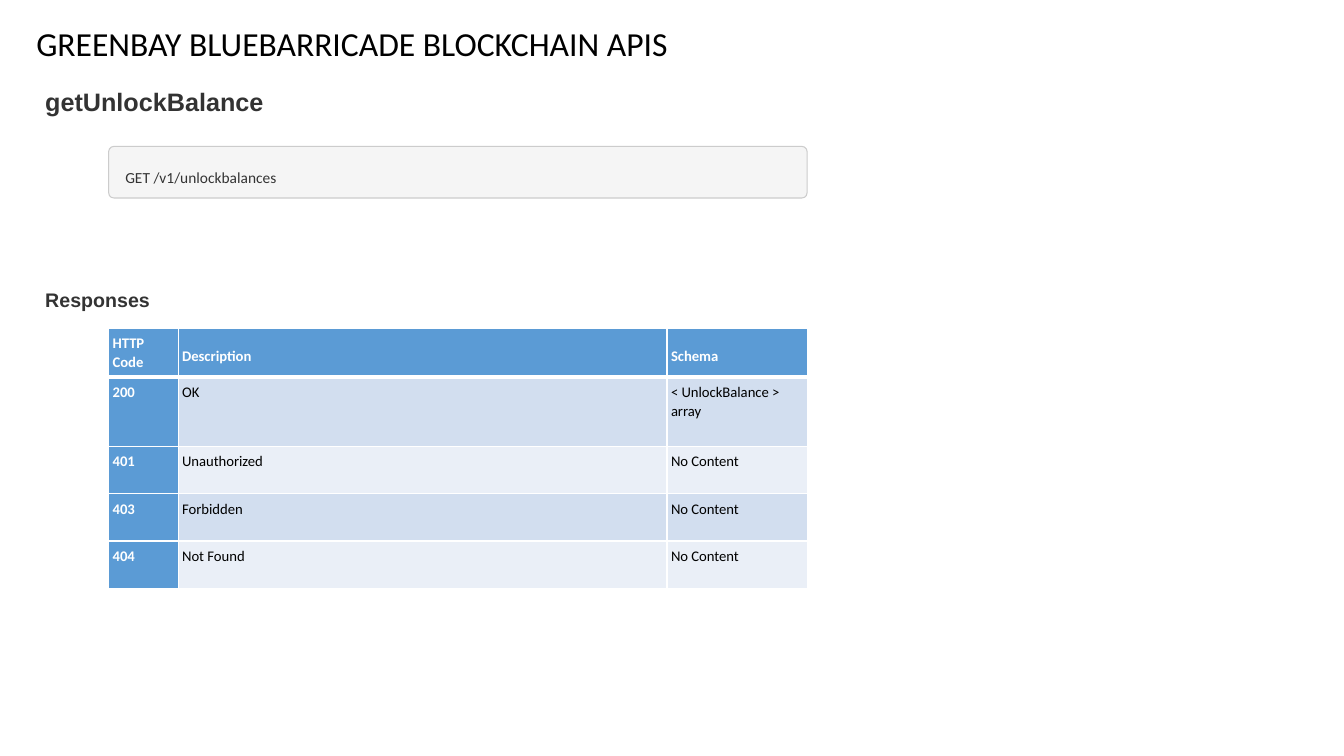
from dataclasses import dataclass

from lxml.etree import SubElement
from pptx import Presentation
from pptx.dml.color import RGBColor as RGB
from pptx.enum.shapes import MSO_SHAPE as SHAPE
from pptx.enum.text import MSO_ANCHOR as ANCHOR, PP_ALIGN as ALIGN
from pptx.oxml.ns import qn
from pptx.util import Cm, Pt


@dataclass(frozen=True)
class Theme:
    body: str = "Calibri"
    heading: str = "Arial"
    black: str = "000000"
    white: str = "FFFFFF"
    dark: str = "333333"
    accent: str = "5B9BD5"
    bands: tuple = ("D2DEEF", "EAEFF7")
    code_fill: str = "F5F5F5"
    code_line: str = "CCCCCC"
    title_size: float = 24
    method_size: float = 18
    section_size: float = 14
    code_size: float = 11
    cell_size: float = 10.5


T = Theme()
RESPONSES = [
    ("HTTP Code", "Description", "Schema"),
    ("200", "OK", "< UnlockBalance > array"),
    ("401", "Unauthorized", "No Content"),
    ("403", "Forbidden", "No Content"),
    ("404", "Not Found", "No Content"),
]


def add_run(p, text, size, color, font=T.body, bold=False):
    r = p.add_run()
    r.text = text
    r.font.name, r.font.size, r.font.bold = font, Pt(size), bold
    r.font.color.rgb = RGB.from_string(color)


def set_insets(target, left, top, right, bottom):
    target.margin_left, target.margin_top = Cm(left), Cm(top)
    target.margin_right, target.margin_bottom = Cm(right), Cm(bottom)


def add_title(s, text, x, y, w, h):
    sp = s.shapes.title
    sp.left, sp.top, sp.width, sp.height = Cm(x), Cm(y), Cm(w), Cm(h)
    tf = sp.text_frame
    tf.word_wrap, tf.vertical_anchor = False, ANCHOR.TOP
    p = tf.paragraphs[0]
    p.alignment = ALIGN.LEFT
    add_run(p, text, T.title_size, T.black)


def add_heading(s, text, size, x, y, w, h):
    tf = s.shapes.add_textbox(Cm(x), Cm(y), Cm(w), Cm(h)).text_frame
    tf.word_wrap = True
    add_run(tf.paragraphs[0], text, size, T.dark, T.heading, True)


def add_code_box(s, code, x, y, w, h):
    sp = s.shapes.add_shape(SHAPE.ROUNDED_RECTANGLE, Cm(x), Cm(y), Cm(w), Cm(h))
    sp.adjustments[0] = 0.1
    sp.shadow.inherit = False
    sp.fill.solid()
    sp.fill.fore_color.rgb = RGB.from_string(T.code_fill)
    sp.line.color.rgb = RGB.from_string(T.code_line)
    sp.line.width = Pt(0.75)
    tf = sp.text_frame
    tf.word_wrap, tf.vertical_anchor = True, ANCHOR.TOP
    set_insets(tf, 0.38, 0.48, 0.38, 0)
    p = tf.paragraphs[0]
    p.alignment, p.line_spacing = ALIGN.LEFT, 1.07
    add_run(p, code, T.code_size, T.dark)


def set_borders(cell, widths):
    """Draw white borders; widths maps a side (L, R, T, B) to points."""
    tcPr = cell._tc.get_or_add_tcPr()
    for i, (side, width) in enumerate(widths.items()):
        ln = SubElement(tcPr, qn(f"a:ln{side}"), w=str(Pt(width)))
        SubElement(SubElement(ln, qn("a:solidFill")), qn("a:srgbClr"), val=T.white)
        tcPr.insert(i, ln)


def add_response_table(s, rows, x, y, col_widths, row_heights):
    table = s.shapes.add_table(len(rows), len(col_widths), Cm(x), Cm(y),
                               Cm(sum(col_widths)), Cm(sum(row_heights))).table
    for col, width in zip(table.columns, col_widths):
        col.width = Cm(width)
    for row, height in zip(table.rows, row_heights):
        row.height = Cm(height)
    for i, texts in enumerate(rows):
        for j, text in enumerate(texts):
            cell = table.cell(i, j)
            head = i == 0 or j == 0
            set_insets(cell, 0.1, 0.13, 0.1, 0)
            cell.vertical_anchor = ANCHOR.MIDDLE if i == 0 and j else ANCHOR.TOP
            cell.fill.solid()
            fill = T.accent if head else T.bands[(i - 1) % 2]
            cell.fill.fore_color.rgb = RGB.from_string(fill)
            set_borders(cell, {"L": 1, "R": 1, "T": 3 if i == 1 else 1,
                               "B": 3 if i == 0 else 1})
            p = cell.text_frame.paragraphs[0]
            p.line_spacing = 1.07
            add_run(p, text, T.cell_size, T.white if head else T.black, bold=head)


def build_api_slide(prs):
    s = prs.slides.add_slide(prs.slide_layouts[5])
    heading_x, content_x = 0.89, 2.74
    cols = (1.75, 12.32, 3.53)
    add_title(s, "GREENBAY BLUEBARRICADE BLOCKCHAIN APIS", 0.66, 0.46, 16.56, 1.27)
    add_heading(s, "getUnlockBalance", T.method_size, heading_x, 2.06, 7.62, 1.03)
    add_code_box(s, "GET /v1/unlockbalances", content_x, 3.69, sum(cols), 1.3)
    add_heading(s, "Responses", T.section_size, heading_x, 7.14, 3.3, 0.89)
    add_response_table(s, RESPONSES, content_x, 8.28, cols,
                       (1.22, 1.75, 1.19, 1.19, 1.19))


def main():
    prs = Presentation()
    prs.slide_width, prs.slide_height = Cm(33.87), Cm(19.05)
    build_api_slide(prs)
    prs.save("out.pptx")


if __name__ == "__main__":
    main()
